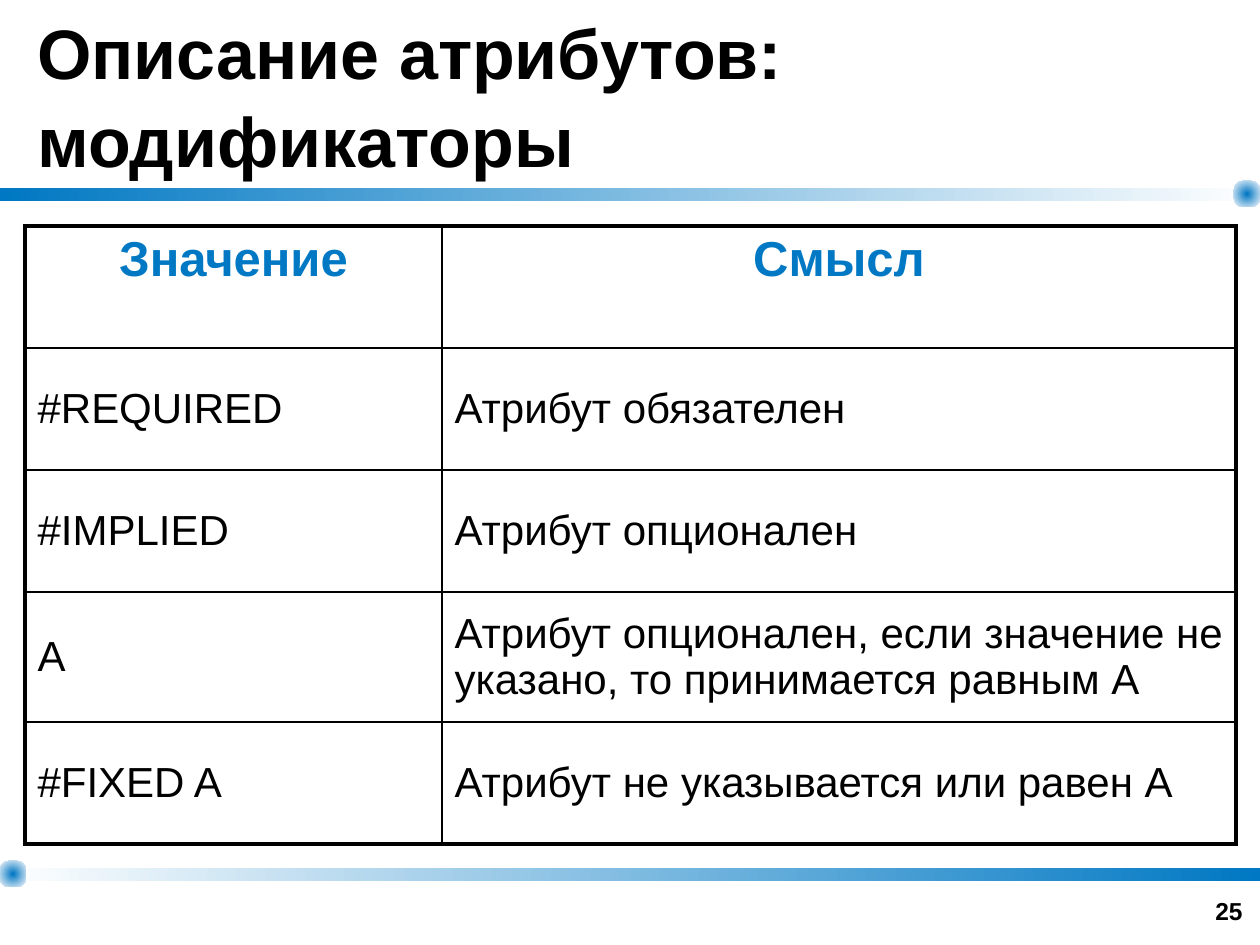
from lxml.etree import SubElement
from pptx import Presentation
from pptx.dml.color import RGBColor
from pptx.enum.shapes import MSO_SHAPE
from pptx.enum.text import MSO_ANCHOR, PP_ALIGN
from pptx.oxml import parse_xml
from pptx.oxml.ns import nsdecls, qn
from pptx.util import Emu, Pt

BLUE = RGBColor(0x00, 0x78, 0xC3)
WHITE = RGBColor(0xFF, 0xFF, 0xFF)
BLACK = RGBColor(0x00, 0x00, 0x00)
FONT = "Arial"

# Content
TITLE = "Описание атрибутов: модификаторы"
PAGE = "25"
ROWS = [
    ("Значение", "Смысл"),
    ("#REQUIRED", "Атрибут обязателен"),
    ("#IMPLIED", "Атрибут опционален"),
    ("A", "Атрибут опционален, если значение не указано, то принимается равным A"),
    ("#FIXED A", "Атрибут не указывается или равен A"),
]

# Layout in px
W, H = 1260, 945
TABLE_X, TABLE_Y = 25, 226
COL_WIDTHS = [417, 794]
ROW_HEIGHTS = [122, 122, 122, 130, 122]
BAR_H, DOT = 13, 26
BARS = [(188, BLUE, WHITE), (868, WHITE, BLUE)]  # top, left colour, right colour
DOTS = [(W - DOT, 181), (0, 861)]
OUTER, INNER = 2.25, 1  # border widths in points

TITLE_FONT = {"size": Pt(40), "bold": True, "color": BLACK}
PAGE_FONT = {"size": Pt(14), "bold": True, "color": BLACK}
HEAD_FONT = {"size": Pt(28), "bold": True, "color": BLUE}
BODY_FONT = {"size": Pt(24), "bold": False, "color": BLACK}


def px(n):
    return Emu(round(n * 914400 / 126))


def write(tf, text, fmt, align=PP_ALIGN.LEFT):
    p = tf.paragraphs[0]
    p.alignment = align
    r = p.add_run()
    r.text = text
    r.font.name = FONT
    for name, value in fmt.items():
        if name == "color":
            r.font.color.rgb = value
        else:
            setattr(r.font, name, value)
    return p


def add_text(box, text, fmt, anchor, align=PP_ALIGN.LEFT):
    tf = slide.shapes.add_textbox(*map(px, box)).text_frame
    tf.word_wrap = True
    tf.vertical_anchor = anchor
    return write(tf, text, fmt, align)


def add_gradient(kind, box, start, end):
    sp = slide.shapes.add_shape(kind, *map(px, box))
    sp.shadow.inherit = False
    sp.line.fill.background()
    sp.fill.gradient()
    sp.fill.gradient_angle = 0
    for stop, color, position in zip(sp.fill.gradient_stops, (start, end), (0, 1)):
        stop.color.rgb = color
        stop.position = position
    return sp


def set_borders(cell, widths):
    tc_pr = cell._tc.get_or_add_tcPr()
    for i, (side, width) in enumerate(widths.items()):
        ln = parse_xml(f'<a:{side} {nsdecls("a")} w="{Pt(width)}"/>')
        fill = SubElement(ln, qn("a:solidFill"))
        SubElement(fill, qn("a:srgbClr"), val=str(BLACK))
        tc_pr.insert(i, ln)


prs = Presentation()
prs.slide_width, prs.slide_height = px(W), px(H)
slide = prs.slides.add_slide(prs.slide_layouts[6])

# Gradient bars
for top, start, end in BARS:
    add_gradient(MSO_SHAPE.RECTANGLE, (0, top, W, BAR_H), start, end)

# Glowing dots at the faded ends
for left, top in DOTS:
    sp = add_gradient(MSO_SHAPE.ROUNDED_RECTANGLE, (left, top, DOT, DOT), BLUE, WHITE)
    sp.adjustments[0] = 0.32
    lin = sp._element.spPr.find(".//" + qn("a:lin"))
    lin.getparent().replace(lin, parse_xml(
        f'<a:path {nsdecls("a")} path="circle">'
        '<a:fillToRect l="50000" t="50000" r="50000" b="50000"/></a:path>'))

# Title and page number
p = add_text((25, 0, 1210, 188), TITLE, TITLE_FONT, MSO_ANCHOR.MIDDLE)
p.line_spacing = 1.04
add_text((961, 869, 294, 63), PAGE, PAGE_FONT, MSO_ANCHOR.BOTTOM, PP_ALIGN.RIGHT)

# Table
table = slide.shapes.add_table(
    len(ROWS), len(COL_WIDTHS), px(TABLE_X), px(TABLE_Y),
    px(sum(COL_WIDTHS)), px(sum(ROW_HEIGHTS))).table
table.first_row = table.horz_banding = False
for column, width in zip(table.columns, COL_WIDTHS):
    column.width = px(width)
for row, height in zip(table.rows, ROW_HEIGHTS):
    row.height = px(height)

last_row, last_col = len(ROWS) - 1, len(COL_WIDTHS) - 1
for i, row in enumerate(ROWS):
    for j, text in enumerate(row):
        cell = table.cell(i, j)
        cell.fill.background()
        if i == 0:
            cell.vertical_anchor = MSO_ANCHOR.TOP
            write(cell.text_frame, text, HEAD_FONT, PP_ALIGN.CENTER)
        else:
            cell.vertical_anchor = MSO_ANCHOR.MIDDLE
            write(cell.text_frame, text, BODY_FONT)
        set_borders(cell, {
            "lnL": OUTER if j == 0 else INNER,
            "lnR": OUTER if j == last_col else INNER,
            "lnT": OUTER if i == 0 else INNER,
            "lnB": OUTER if i == last_row else INNER,
        })

prs.save("out.pptx")
